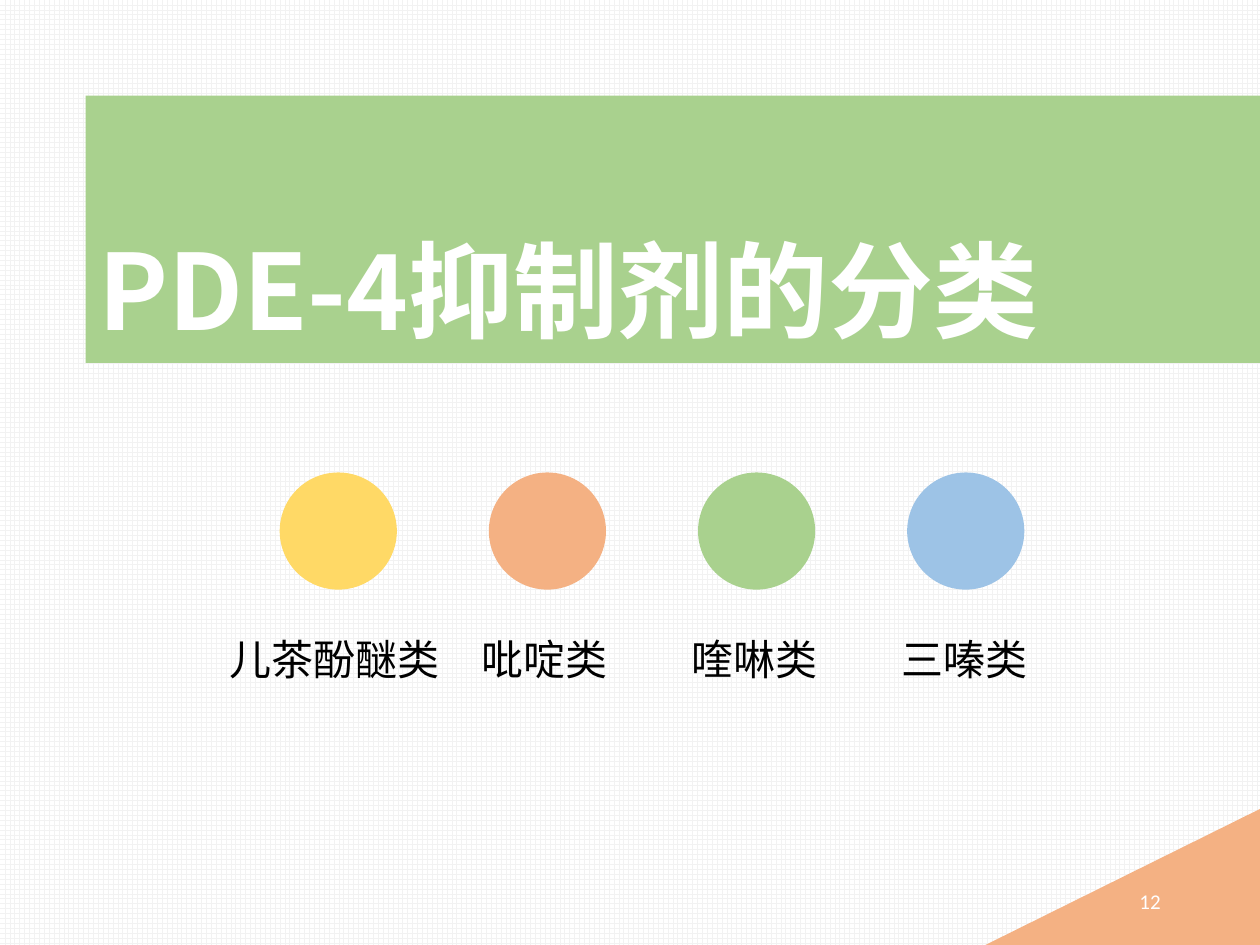
from lxml.etree import SubElement
from pptx import Presentation
from pptx.dml.color import RGBColor
from pptx.enum.dml import MSO_PATTERN
from pptx.enum.shapes import MSO_SHAPE as Shape
from pptx.enum.text import MSO_ANCHOR as Anchor, PP_ALIGN as Align
from pptx.oxml.ns import qn
from pptx.util import Inches, Pt

WHITE = RGBColor(0xFF, 0xFF, 0xFF)
BLACK = RGBColor(0x00, 0x00, 0x00)
GRID = RGBColor(0xF2, 0xF2, 0xF2)
GREEN = RGBColor(0xA9, 0xD1, 0x8E)
ORANGE = RGBColor(0xF4, 0xB1, 0x83)
YELLOW = RGBColor(0xFF, 0xD9, 0x66)
BLUE = RGBColor(0x9D, 0xC3, 0xE6)

LATIN_FONT = "Calibri"
CHINESE_FONT = "Noto Sans CJK SC"
CIRCLE_SIZE = 0.93
CIRCLE_STEP = 1.66


class SlideBuilder:
    def __init__(self, slide):
        self.slide = slide

    def grid_background(self):
        fill = self.slide.background.fill
        fill.patterned()
        fill.pattern = MSO_PATTERN.LARGE_GRID
        fill.fore_color.rgb = GRID
        fill.back_color.rgb = WHITE

    def shape(self, kind, box, color):
        shape = self.slide.shapes.add_shape(kind, *map(Inches, box))
        shape.shadow.inherit = False
        shape.fill.solid()
        shape.fill.fore_color.rgb = color
        shape.line.fill.background()
        return shape

    def set_text(self, shape, text, size, color, anchor, align,
                 font=LATIN_FONT, bold=False):
        frame = shape.text_frame
        frame.word_wrap = True
        frame.vertical_anchor = anchor
        paragraph = frame.paragraphs[0]
        paragraph.text = text
        paragraph.alignment = align
        paragraph.font.size = Pt(size)
        paragraph.font.bold = bold
        paragraph.font.color.rgb = color
        paragraph.font.name = font
        properties = paragraph._p.pPr.find(qn("a:defRPr"))
        SubElement(properties, qn("a:ea")).set("typeface", CHINESE_FONT)
        return paragraph

    def placeholder(self, index, box, *style, **options):
        shape = self.slide.placeholders[index]
        shape.left, shape.top, shape.width, shape.height = map(Inches, box)
        paragraph = self.set_text(shape, *style, **options)
        paragraph.line_spacing = 0.9
        tree = self.slide.shapes._spTree
        tree.remove(shape._element)
        tree.append(shape._element)
        return paragraph

    def text_box(self, box, *style):
        shape = self.slide.shapes.add_textbox(*map(Inches, box))
        return self.set_text(shape, *style)


def main():
    presentation = Presentation()
    presentation.slide_width = Inches(10)
    presentation.slide_height = Inches(7.5)
    section_layout = presentation.slide_layouts[2]
    builder = SlideBuilder(presentation.slides.add_slide(section_layout))

    builder.grid_background()
    corner = builder.shape(Shape.ISOSCELES_TRIANGLE, (7.82, 6.42, 2.18, 1.08), ORANGE)
    corner.adjustments[0] = 1
    builder.shape(Shape.RECTANGLE, (0.68, 0.76, 9.32, 2.12), GREEN)
    builder.placeholder(0, (0.68, -0.27, 8.62, 3.12), "PDE-4抑制剂的分类", 60, WHITE,
                        Anchor.BOTTOM, Align.LEFT, font=CHINESE_FONT, bold=True)
    builder.text_box((7.06, 6.95, 2.25, 0.4), "12", 12, WHITE, Anchor.MIDDLE, Align.RIGHT)

    for index, color in enumerate((YELLOW, ORANGE, GREEN, BLUE)):
        left = 2.22 + index * CIRCLE_STEP
        builder.shape(Shape.OVAL, (left, 3.75, CIRCLE_SIZE, CIRCLE_SIZE), color)

    classes = builder.placeholder(1, (0.68, 5.02, 8.62, 1.64),
                                  "儿茶酚醚类　吡啶类　　喹啉类　　三嗪类", 24, BLACK,
                                  Anchor.TOP, Align.CENTER)
    classes.space_before = Pt(10)

    presentation.save("out.pptx")


if __name__ == "__main__":
    main()
